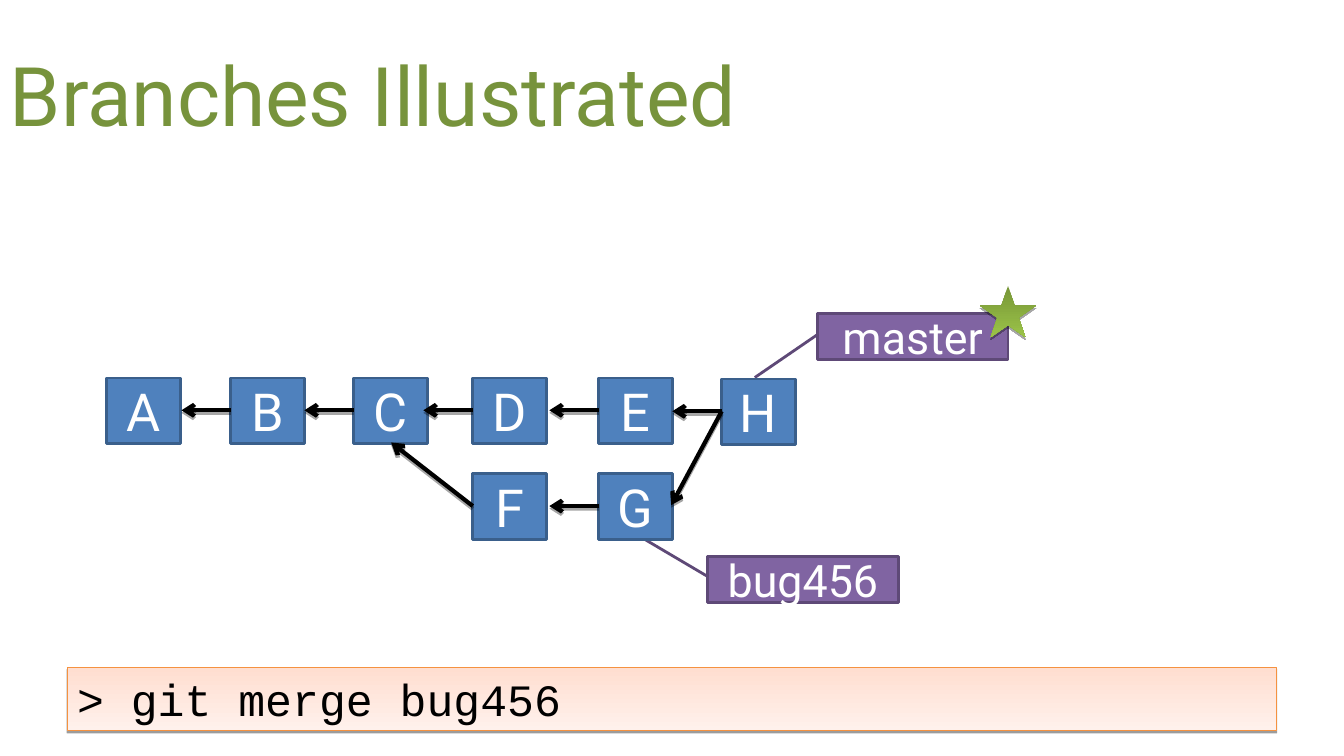
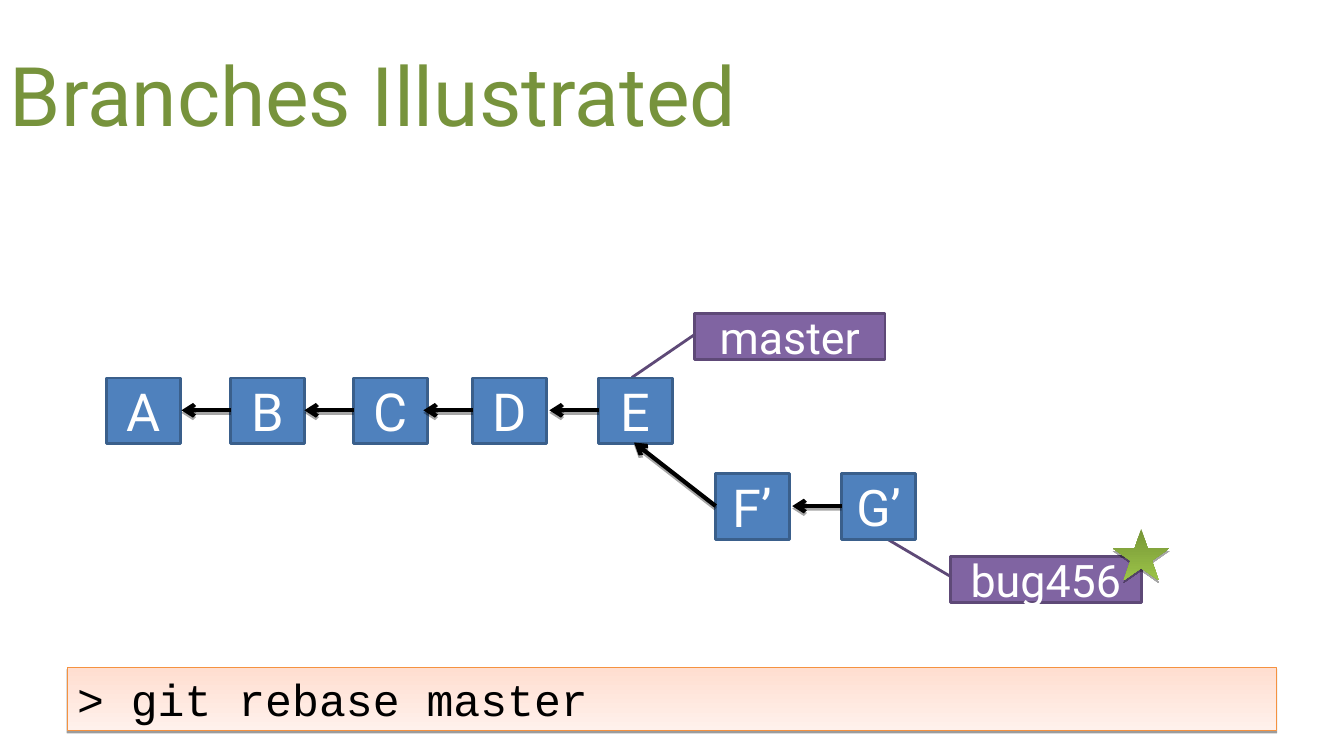
from lxml import etree
from pptx import Presentation
from pptx.dml.color import RGBColor
from pptx.enum import shapes, text
from pptx.oxml import ns
from pptx.util import Pt

GREEN = RGBColor(0x77, 0x93, 0x3C)
BLUE = RGBColor(0x4F, 0x81, 0xBD)
BLUE_EDGE = RGBColor(0x3A, 0x5F, 0x8B)
PURPLE = RGBColor(0x80, 0x64, 0xA2)
PURPLE_EDGE = RGBColor(0x5E, 0x49, 0x77)
ORANGE = RGBColor(0xF5, 0x92, 0x40)
BAR_FILL = RGBColor(0xFF, 0xDE, 0xD0), RGBColor(0xFF, 0xF1, 0xEC)
STAR_FILL = RGBColor(0x77, 0x96, 0x37), RGBColor(0x9B, 0xC3, 0x48)
WHITE = RGBColor(0xFF, 0xFF, 0xFF)
BLACK = RGBColor(0, 0, 0)

# Commit boxes, and the arrows leaving the middle of their left side
BOX_W, BOX_H = 52.6, 46.8
TOP_ROW, LOW_ROW = 270, 338.4
BACK, UP, DOWN = (-35.3, 0), (-58.3, -45.4), (-36, 67)

# Branch labels: offset from the commit's left, top, callout adjustments
LABEL_W, LABEL_H = 136.1, 33.1
LABELS = {
    "master": (68.4, 223.9, (0.446, 0.004, 1.383, -0.329)),
    "bug456": (77.8, 397.4, (0.446, 0.004, -0.389, -0.34)),
}

# Commits: label, left, top, text size, arrows
TRUNK = [
    ("A", 76.3, TOP_ROW, 37.4, []),
    ("B", 164.9, TOP_ROW, 37.4, [BACK]),
    ("C", 252.7, TOP_ROW, 37.4, [BACK]),
    ("D", 337.7, TOP_ROW, 37.4, [BACK]),
    ("E", 427.7, TOP_ROW, 37.4, [BACK]),
]
MERGED = [
    ("F", 337.7, LOW_ROW, 37.4, [UP]),
    ("G", 427.7, LOW_ROW, 37.4, [BACK]),
    ("H", 515.5, TOP_ROW + 0.7, 37.4, [BACK, DOWN]),
]
REBASED = [
    ("F’", 511.2, LOW_ROW, 37.4, [UP]),
    ("G’", 601.2, LOW_ROW, 36, [BACK]),
]

# Slides: command, commits, commit under each branch label, current branch
SLIDES = [
    ("> git merge bug456", TRUNK + MERGED,
     {"master": "H", "bug456": "G"}, "master"),
    ("> git rebase master", TRUNK + REBASED,
     {"master": "E", "bug456": "G’"}, "bug456"),
]


def add_box(s, kind, x, y, w, h, fill, edge=None, width=2, label="",
            size=32, font="Roboto", color=WHITE, align=text.PP_ALIGN.CENTER):
    """Add a shape; a pair of fill colours makes a top-down gradient."""
    sp = s.shapes.add_shape(kind, Pt(x), Pt(y), Pt(w), Pt(h))
    sp.shadow.inherit = False
    if isinstance(fill, RGBColor):
        sp.fill.solid()
        sp.fill.fore_color.rgb = fill
    else:
        sp.fill.gradient()
        sp.fill.gradient_angle = 270
        for stop, rgb in zip(sp.fill.gradient_stops, fill):
            stop.color.rgb = rgb
    if edge is None:
        sp.line.fill.background()
    else:
        sp.line.color.rgb = edge
        sp.line.width = Pt(width)
    if label:
        tf = sp.text_frame
        tf.text = label
        tf.word_wrap = True
        tf.vertical_anchor = text.MSO_ANCHOR.MIDDLE
        p = tf.paragraphs[0]
        p.alignment = align
        p.font.size, p.font.name = Pt(size), font
        p.font.color.rgb = color
    return sp


def add_shadow(sp, alpha, dist):
    """Give a shape or connector a hard black shadow straight below."""
    spPr = sp._element.spPr
    effects = spPr.find(ns.qn("a:effectLst"))
    if effects is None:
        effects = etree.SubElement(spPr, ns.qn("a:effectLst"))
    shadow = etree.SubElement(effects, ns.qn("a:outerShdw"), blurRad="0",
                              dist=str(Pt(dist)), dir="5400000", rotWithShape="0")
    black = etree.SubElement(shadow, ns.qn("a:srgbClr"), val="000000")
    etree.SubElement(black, ns.qn("a:alpha"), val=str(alpha * 1000))


prs = Presentation()
prs.slide_width, prs.slide_height = Pt(960), Pt(540)

for command, commits, branches, current in SLIDES:
    s = prs.slides.add_slide(prs.slide_layouts[6])

    # Title
    tf = s.shapes.add_textbox(Pt(0), Pt(21.6), Pt(864), Pt(90)).text_frame
    tf.text = "Branches Illustrated"
    tf.word_wrap = True
    tf.vertical_anchor = text.MSO_ANCHOR.MIDDLE
    p = tf.paragraphs[0]
    p.font.size, p.font.name = Pt(58.7), "Roboto"
    p.font.color.rgb = GREEN

    # Branch labels, with a star on the current one
    lefts = {label: x for label, x, *rest in commits}
    for branch, commit in branches.items():
        dx, y, adjustments = LABELS[branch]
        x = lefts[commit] + dx
        sp = add_box(s, shapes.MSO_SHAPE.LINE_CALLOUT_1, x, y, LABEL_W, LABEL_H,
                     PURPLE, PURPLE_EDGE, label=branch)
        for i, value in enumerate(adjustments):
            sp.adjustments[i] = value
        if branch == current:
            star = add_box(s, shapes.MSO_SHAPE.STAR_5_POINT, x + 116, y - 19.6,
                           40.3, 36.7, STAR_FILL)
            add_shadow(star, 35, 1.8)

    # Commits
    for label, x, y, size, arrows in commits:
        add_box(s, shapes.MSO_SHAPE.RECTANGLE, x, y, BOX_W, BOX_H,
                BLUE, BLUE_EDGE, label=label, size=size)

    # Arrows to parent commits
    for label, x, y, size, arrows in commits:
        y += BOX_H / 2 - 0.3
        for dx, dy in arrows:
            c = s.shapes.add_connector(shapes.MSO_CONNECTOR.STRAIGHT,
                                       Pt(x), Pt(y), Pt(x + dx), Pt(y + dy))
            c.line.color.rgb = BLACK
            c.line.width = Pt(3)
            etree.SubElement(c.line._get_or_add_ln(), ns.qn("a:tailEnd"), type="arrow")
            add_shadow(c, 35, 1.8)

    # Command bar
    bar = add_box(s, shapes.MSO_SHAPE.RECTANGLE, 48, 476.6, 864, 45.4, BAR_FILL,
                  ORANGE, 0.75, command, font="Courier New", color=BLACK,
                  align=text.PP_ALIGN.LEFT)
    bar.text_frame.vertical_anchor = text.MSO_ANCHOR.TOP
    bar.text_frame.auto_size = text.MSO_AUTO_SIZE.SHAPE_TO_FIT_TEXT
    add_shadow(bar, 38, 1.6)

prs.save("out.pptx")
